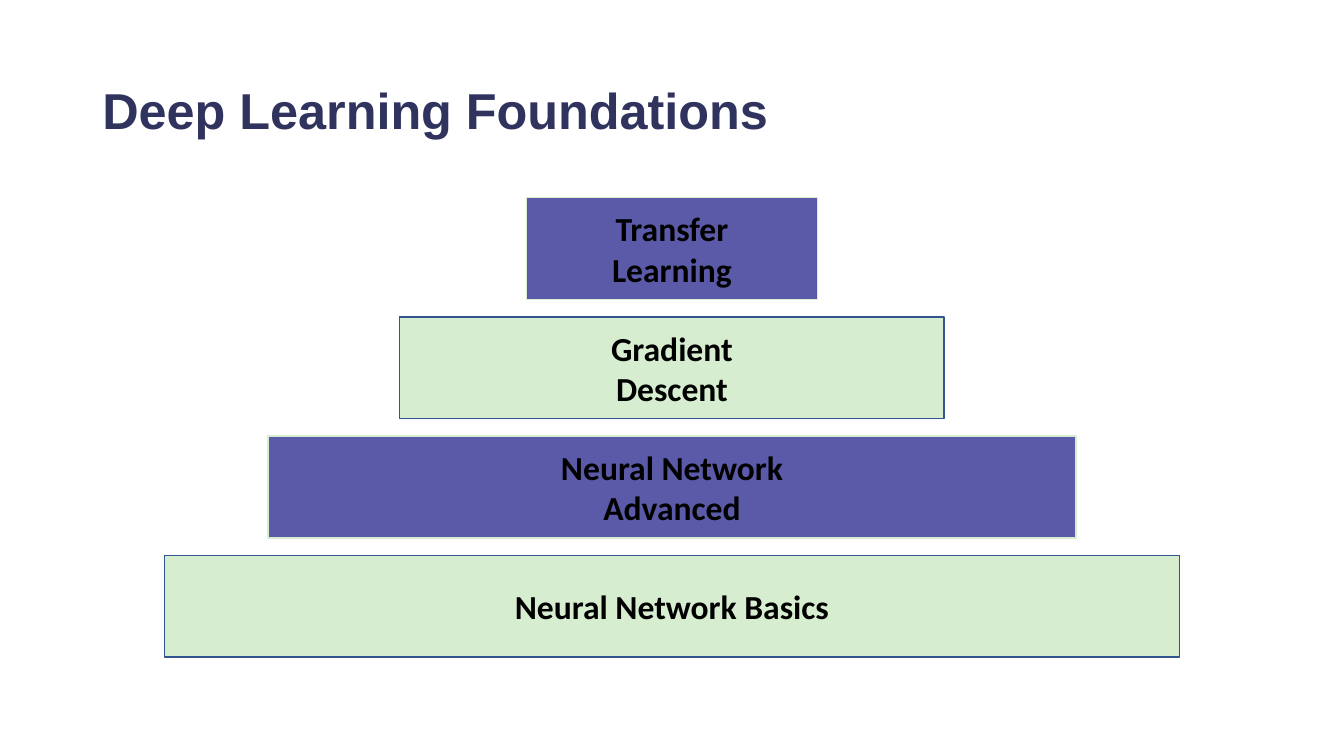
"""Build a slide with a four-tier pyramid of deep learning topics."""
from dataclasses import dataclass

from pptx import Presentation
from pptx.dml.color import RGBColor
from pptx.enum.shapes import MSO_SHAPE
from pptx.enum.text import MSO_ANCHOR, PP_ALIGN
from pptx.util import Pt

RECT = MSO_SHAPE.RECTANGLE
MIDDLE = MSO_ANCHOR.MIDDLE
LEFT, CENTER = PP_ALIGN.LEFT, PP_ALIGN.CENTER


@dataclass(frozen=True)
class Theme:
    title_font: str = "Arial"
    tier_font: str = "Calibri"
    title_size: int = 36
    tier_size: int = 24
    navy: str = "30335D"
    black: str = "000000"
    purple: str = "5A5AA8"
    green: str = "D6EECF"
    pale_line: str = "D6EDCF"
    blue_line: str = "325491"


THEME = Theme()
SLIDE_W, SLIDE_H = 960, 540
TIER_TOP, TIER_H, TIER_PITCH = 141.1, 72.7, 85.2
PURPLE_STYLE = (THEME.purple, THEME.pale_line)
GREEN_STYLE = (THEME.green, THEME.blue_line)
TIERS = [
    (208, [["Transfer", "Learning"]], PURPLE_STYLE),
    (388.8, [["Gradient", "Descent"]], GREEN_STYLE),
    (577.4, [["Neural Network"], ["Advanced"]], PURPLE_STYLE),
    (725, [["Neural Network Basics"]], GREEN_STYLE),
]


def write(tf, paragraphs, font, size, color, align):
    """Fill a text frame with bold paragraphs, each a list of lines."""
    tf.word_wrap = True
    tf.vertical_anchor = MIDDLE
    for i, lines in enumerate(paragraphs):
        p = tf.add_paragraph() if i else tf.paragraphs[0]
        p.alignment = align
        for j, line in enumerate(lines):
            if j:
                p.add_line_break()
            r = p.add_run()
            r.text = line
            r.font.name = font
            r.font.size = Pt(size)
            r.font.bold = True
            r.font.color.rgb = RGBColor.from_string(color)


def add_title(s, text):
    """Add the slide title."""
    sp = s.shapes.add_textbox(Pt(66), Pt(28.8), Pt(828), Pt(104.4))
    write(sp.text_frame, [[text]], THEME.title_font, THEME.title_size, THEME.navy, LEFT)
    sp.text_frame.paragraphs[0].line_spacing = 0.9


def add_tier(s, top, width, paragraphs, style):
    """Add one centred tier of the pyramid."""
    fill, line = style
    sp = s.shapes.add_shape(RECT, Pt((SLIDE_W - width) / 2), Pt(top), Pt(width), Pt(TIER_H))
    sp.shadow.inherit = False
    sp.fill.solid()
    sp.fill.fore_color.rgb = RGBColor.from_string(fill)
    sp.line.color.rgb = RGBColor.from_string(line)
    sp.line.width = Pt(1)
    write(sp.text_frame, paragraphs, THEME.tier_font, THEME.tier_size, THEME.black, CENTER)


def main():
    """Build and save the slide."""
    prs = Presentation()
    prs.slide_width, prs.slide_height = Pt(SLIDE_W), Pt(SLIDE_H)
    s = prs.slides.add_slide(prs.slide_layouts[6])
    add_title(s, "Deep Learning Foundations")
    for i, (width, paragraphs, style) in enumerate(TIERS):
        add_tier(s, TIER_TOP + i * TIER_PITCH, width, paragraphs, style)
    prs.save("out.pptx")


if __name__ == "__main__":
    main()
